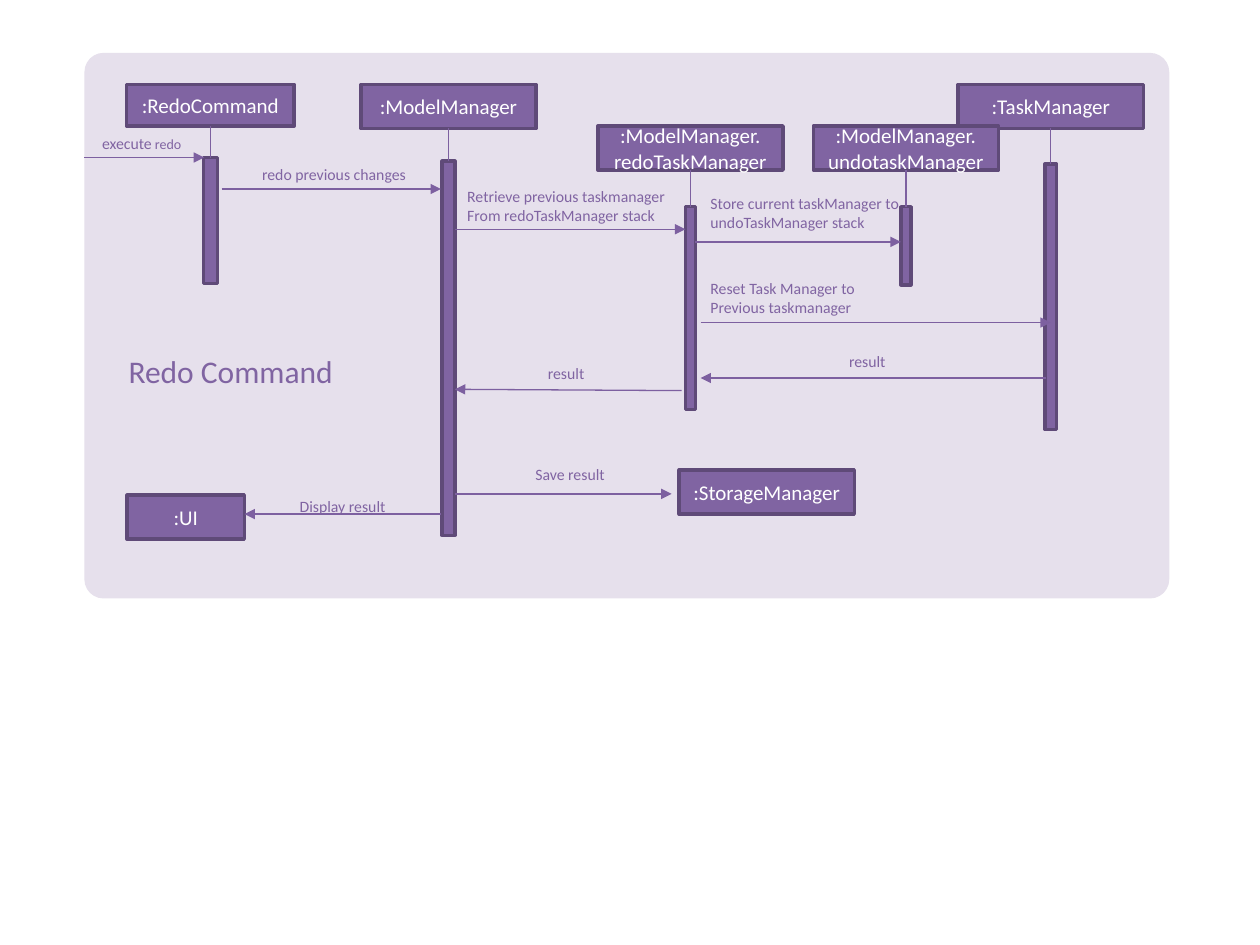
from lxml import etree
from pptx import Presentation
from pptx.dml.color import RGBColor
from pptx.enum.shapes import MSO_CONNECTOR, MSO_SHAPE
from pptx.enum.text import MSO_ANCHOR, PP_ALIGN
from pptx.oxml.ns import qn
from pptx.util import Inches, Pt

RECT, ROUNDED = MSO_SHAPE.RECTANGLE, MSO_SHAPE.ROUNDED_RECTANGLE
STRAIGHT = MSO_CONNECTOR.STRAIGHT
LEFT, CENTER = PP_ALIGN.LEFT, PP_ALIGN.CENTER
TOP, MIDDLE = MSO_ANCHOR.TOP, MSO_ANCHOR.MIDDLE
TOP_SIDE, BOTTOM_SIDE = 0, 2

PANEL = RGBColor(0xE6, 0xE0, 0xEC)
PURPLE = RGBColor(0x80, 0x64, 0xA2)
EDGE = RGBColor(0x5F, 0x4A, 0x78)
ARROW = RGBColor(0x7D, 0x60, 0xA0)
WHITE = RGBColor(0xFF, 0xFF, 0xFF)
FONT = "Calibri"

TITLE = "Redo Command", (0.92, 2.74, 2.17, 0.4)
PANEL_BOX = (0.67, 0.42, 8.61, 4.33)
HEAD_HEIGHT = 0.35

# name lines, centre x, head top, head width, head height, bar top, bar width, bar height
LIFELINES = [
    ([":RedoCommand"], 1.67, 0.67, 1.33, 0.33, 1.25, 0.11, 1.0),
    ([":ModelManager"], 3.56, 0.67, 1.39, HEAD_HEIGHT, 1.28, 0.1, 2.97),
    ([":ModelManager.", "redoTaskManager"], 5.48, 1.0, 1.47, HEAD_HEIGHT, 1.64, 0.08, 1.61),
    ([":TaskManager"], 8.34, 0.67, 1.47, HEAD_HEIGHT, 1.3, 0.09, 2.11),
    ([":ModelManager.", "undotaskManager"], 7.19, 1.0, 1.47, HEAD_HEIGHT, 1.64, 0.08, 0.62),
]
# name, left, top, width
OTHER_PARTICIPANTS = [
    (":StorageManager", 5.39, 3.73, 1.39),
    (":UI", 1.01, 3.93, 0.93),
]
# label lines, label box, alignment, arrow start, arrow end
MESSAGES = [
    (["execute"], (0.67, 1.01, 0.91, 0.25), CENTER, (0.67, 1.25), (1.62, 1.25)),
    (["redo previous changes"], (1.94, 1.26, 1.42, 0.25), CENTER, (1.76, 1.5), (3.5, 1.5)),
    (["Retrieve previous taskmanager", "From redoTaskManager stack"],
     (3.61, 1.43, 2.05, 0.4), LEFT, (3.61, 1.82), (5.44, 1.82)),
    (["Store current taskManager to undoTaskManager stack"],
     (5.54, 1.49, 2.01, 0.4), LEFT, (5.52, 1.92), (7.15, 1.92)),
    (["Reset Task Manager to", "Previous taskmanager"],
     (5.54, 2.16, 2.63, 0.4), LEFT, (5.56, 2.56), (8.34, 2.56)),
    (["result"], (6.64, 2.74, 0.64, 0.25), LEFT, (8.3, 3.0), (5.56, 3.0)),
    (["result"], (4.25, 2.84, 0.64, 0.25), LEFT, (5.41, 3.1), (3.61, 3.09)),
    (["Save result"], (4.15, 3.64, 0.85, 0.25), LEFT, (3.61, 3.92), (5.33, 3.92)),
    (["Display result"], (2.28, 3.89, 0.94, 0.25), LEFT, (3.5, 4.08), (1.94, 4.08)),
]
EXECUTE_ARGUMENT = " redo"


def inches(values):
    return [Inches(value) for value in values]


def write(frame, lines, size, color, align, anchor):
    frame.word_wrap = True
    frame.vertical_anchor = anchor
    frame.text = "\n".join(lines)
    for paragraph in frame.paragraphs:
        paragraph.alignment = align
        paragraph.font.name = FONT
        paragraph.font.size = Pt(size)
        paragraph.font.color.rgb = color


def add_block(shapes, box, kind=RECT, fill=PURPLE, edge=EDGE):
    block = shapes.add_shape(kind, *inches(box))
    block.shadow.inherit = False
    block.fill.solid()
    block.fill.fore_color.rgb = fill
    if edge is None:
        block.line.fill.background()
    else:
        block.line.color.rgb = edge
        block.line.width = Pt(2)
    return block


def add_participant(shapes, names, box):
    head = add_block(shapes, box)
    write(head.text_frame, names, 12, WHITE, CENTER, MIDDLE)
    return head


def add_line(shapes, start=(0, 0), end=(0, 0), arrow=False):
    line = shapes.add_connector(STRAIGHT, *inches(start + end))
    line.line.color.rgb = ARROW
    line.line.width = Pt(0.75)
    properties = line._element.spPr
    if arrow:
        etree.SubElement(properties.find(qn("a:ln")), qn("a:tailEnd"), type="triangle")
    etree.SubElement(properties, qn("a:effectLst"))
    return line


def add_lifeline(shapes, names, center, head_top, head_width, head_height,
                 bar_top, bar_width, bar_height):
    head = add_participant(shapes, names, (center - head_width / 2, head_top, head_width, head_height))
    bar = add_block(shapes, (center - bar_width / 2, bar_top, bar_width, bar_height))
    stem = add_line(shapes)
    stem.begin_connect(head, BOTTOM_SIDE)
    stem.end_connect(bar, TOP_SIDE)


def add_message(shapes, lines, box, align, start, end):
    add_line(shapes, start, end, arrow=True)
    label = shapes.add_textbox(*inches(box))
    write(label.text_frame, lines, 9, PURPLE, align, TOP)
    return label


def main():
    deck = Presentation()
    deck.slide_width, deck.slide_height = Inches(10), Inches(7.5)
    slide = deck.slides.add_slide(deck.slide_layouts[5])
    shapes = slide.shapes

    add_block(shapes, PANEL_BOX, ROUNDED, PANEL, None).adjustments[0] = 0.035
    for lifeline in LIFELINES:
        add_lifeline(shapes, *lifeline)
    for name, left, top, width in OTHER_PARTICIPANTS:
        add_participant(shapes, [name], (left, top, width, HEAD_HEIGHT))

    labels = [add_message(shapes, *message) for message in MESSAGES]
    argument = labels[0].text_frame.paragraphs[0].add_run()
    argument.text = EXECUTE_ARGUMENT
    argument.font.size = Pt(8)

    title_text, title_box = TITLE
    title = shapes.title
    title.left, title.top, title.width, title.height = inches(title_box)
    write(title.text_frame, [title_text], 18, PURPLE, LEFT, TOP)
    title._element.getparent().append(title._element)  # bring in front of the panel

    deck.save("out.pptx")


if __name__ == "__main__":
    main()
